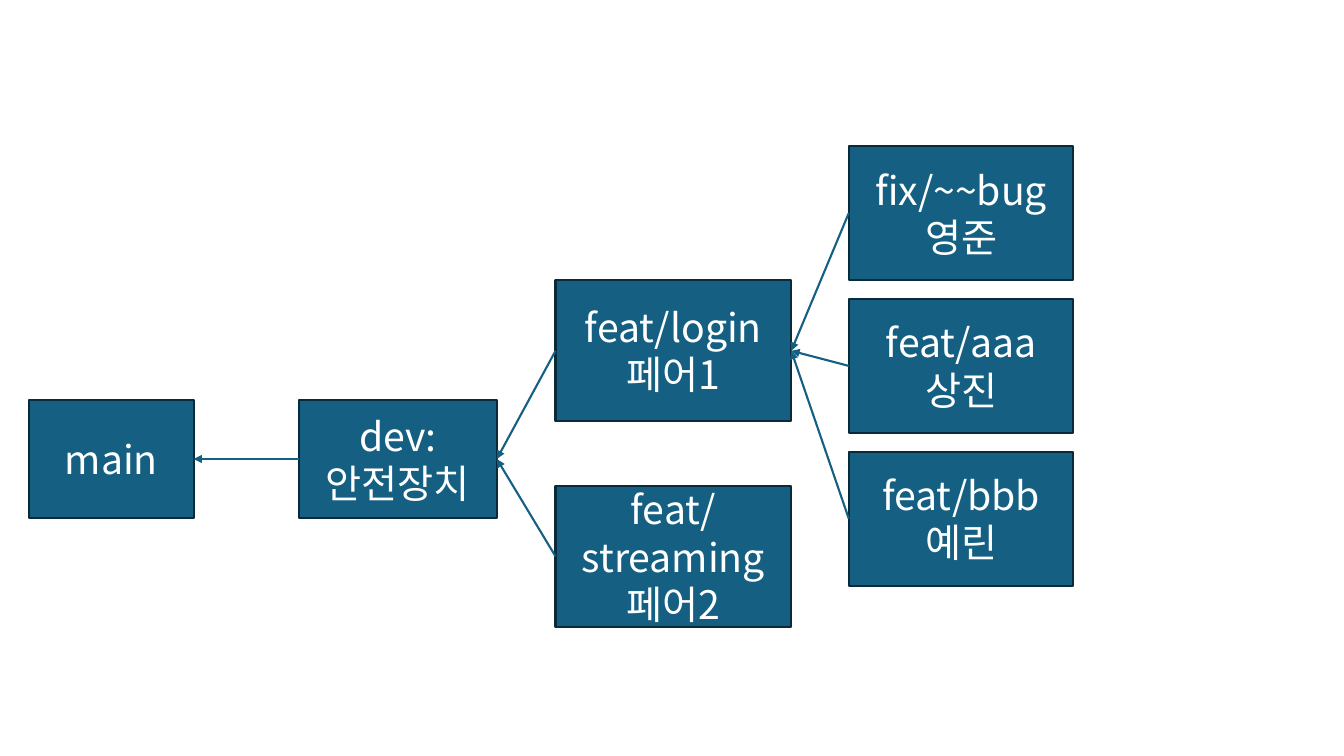
"""Draw the branch flow from work branches through dev to main."""
from lxml.etree import SubElement as Sub
from pptx import Presentation
from pptx.dml.color import RGBColor
from pptx.enum.shapes import MSO_CONNECTOR as Line, MSO_SHAPE as Shape
from pptx.enum.text import MSO_ANCHOR as Anchor, PP_ALIGN as Align
from pptx.oxml.ns import qn
from pptx.util import Cm, Pt

FACE = "Noto Sans CJK KR"
BLUE, EDGE, WHITE = "156082", "092A39", "FFFFFF"
FONT = {"name": FACE, "size": Pt(28)}


def paint(form, tone):
    form.solid()
    form.fore_color.rgb = RGBColor.from_string(tone)


deck = Presentation()
deck.slide_width, deck.slide_height = Cm(33.87), Cm(19.05)
slide = deck.slides.add_slide(deck.slide_layouts[6])

nodes = [
    ("main", "main", 0.74, 10.08, 4.14, 2.97),
    ("dev", "dev: 안전장치", 7.54, 10.08, 4.98, 2.97),
    ("login", "feat/login\n페어1", 14, 7.06, 5.94, 3.56),
    ("stream", "feat/streaming\n페어2", 14, 12.24, 5.94, 3.56),
]
tasks = [("fix", "fix/~~bug\n영준"), ("aaa", "feat/aaa\n상진"), ("bbb", "feat/bbb\n예린")]
for row, (key, text) in enumerate(tasks):
    nodes.append((key, text, 21.39, 3.68 + 3.85 * row, 5.66, 3.38))

boxes = {}
for key, text, *place in nodes:
    box = slide.shapes.add_shape(Shape.RECTANGLE, *map(Cm, place))
    box.shadow.inherit = False
    paint(box.fill, BLUE)
    paint(box.line.fill, EDGE)
    box.line.width = Pt(1.5)
    frame = box.text_frame
    frame.word_wrap = True
    frame.vertical_anchor = Anchor.MIDDLE
    frame.text = text
    for para in frame.paragraphs:
        para.alignment = Align.CENTER
        for run in para.runs:
            for name, value in FONT.items():
                setattr(run.font, name, value)
            paint(run.font.fill, WHITE)
            Sub(run.font._element, qn("a:ea"), typeface=FACE)
    boxes[key] = box

links = [
    ("fix", "login"), ("aaa", "login"), ("bbb", "login"),
    ("login", "dev"), ("dev", "main"), ("stream", "dev"),
]
for start, end in links:
    link = slide.shapes.add_connector(Line.STRAIGHT, 0, 0, 0, 0)
    link.begin_connect(boxes[start], 1)
    link.end_connect(boxes[end], 3)
    paint(link.line.fill, BLUE)
    link.line.width = Pt(1.5)
    Sub(link.line._get_or_add_ln(), qn("a:tailEnd"), type="triangle")
    Sub(link._element.spPr, qn("a:effectLst"))

deck.save("out.pptx")
